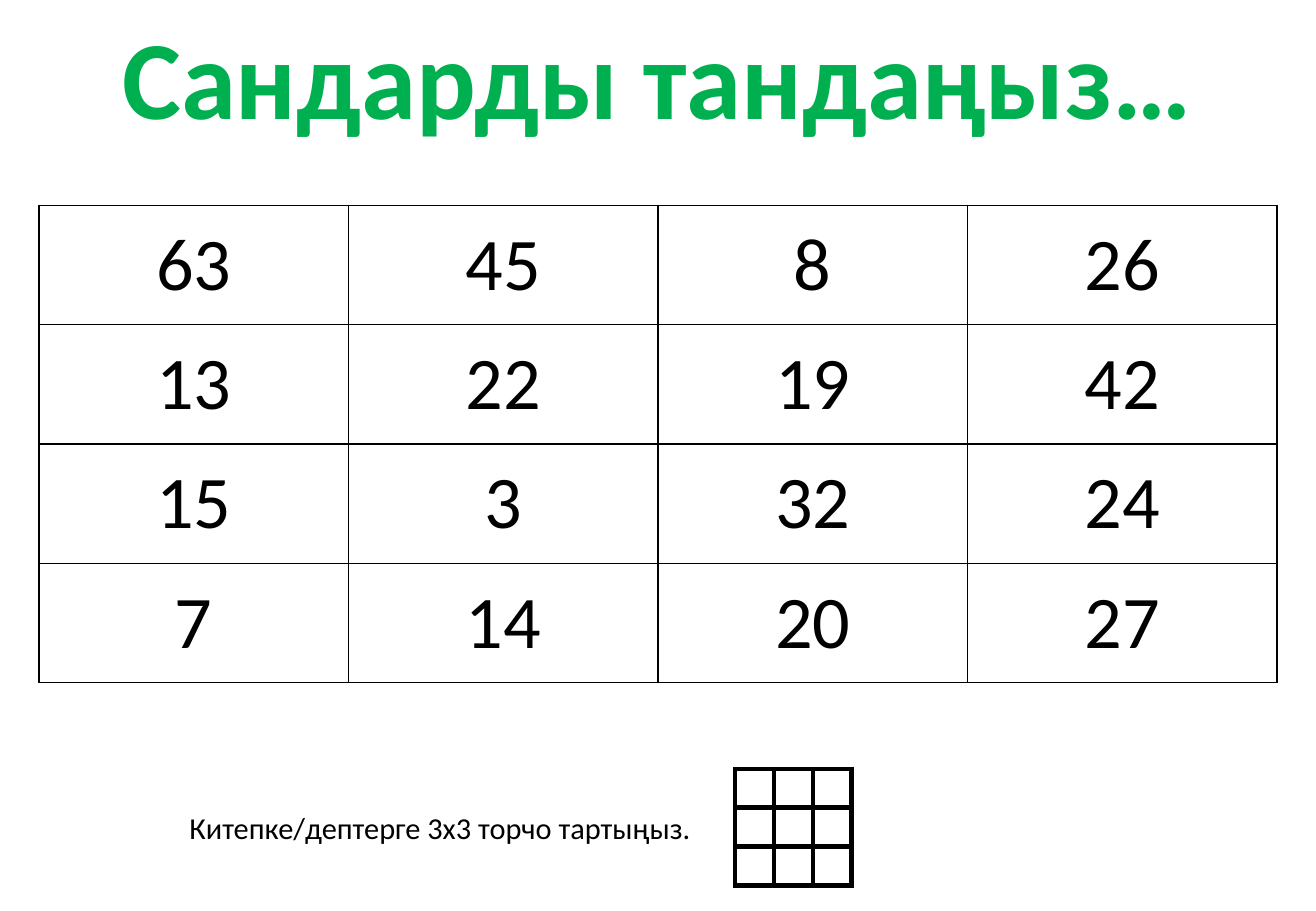
import pptx
import pptx.dml.color
import pptx.enum.text
import pptx.oxml
import pptx.oxml.ns
import pptx.util

Inches = pptx.util.Inches
ALIGN = pptx.enum.text.PP_ALIGN
ANCHOR = pptx.enum.text.MSO_ANCHOR

NUMBERS = [
    [63, 45, 8, 26],
    [13, 22, 19, 42],
    [15, 3, 32, 24],
    [7, 14, 20, 27],
]


def rgb(color):
    return pptx.dml.color.RGBColor.from_string(color)


def write(tf, text, size=18, color="000000", bold=False, align=ALIGN.LEFT):
    p = tf.paragraphs[0]
    p.alignment = align
    r = p.add_run()
    r.text = text
    r.font.name = "Calibri"
    r.font.size = pptx.util.Pt(size)
    r.font.bold = bold
    r.font.color.rgb = rgb(color)


def set_borders(cell, width, color="000000"):
    tcPr = cell._tc.get_or_add_tcPr()
    for side in ("lnL", "lnR", "lnT", "lnB"):
        tcPr.append(pptx.oxml.parse_xml(
            f'<a:{side} {pptx.oxml.ns.nsdecls("a")} w="{pptx.util.Pt(width)}">'
            f'<a:solidFill><a:srgbClr val="{color}"/></a:solidFill></a:{side}>'))


def add_grid(s, box, values, border, size, margin):
    left, top, width, height = box
    rows, cols = len(values), len(values[0])
    table = s.shapes.add_table(rows, cols, Inches(left), Inches(top),
                               Inches(width), Inches(height)).table
    table.first_row = table.horz_banding = False
    for col in table.columns:
        col.width = Inches(width / cols)
    for row, row_values in zip(table.rows, values):
        row.height = Inches(height / rows)
        for cell, value in zip(row.cells, row_values):
            set_borders(cell, border)
            cell.fill.solid()
            cell.fill.fore_color.rgb = rgb("FFFFFF")
            cell.vertical_anchor = ANCHOR.MIDDLE
            cell.margin_left = cell.margin_right = Inches(margin)
            cell.margin_top = cell.margin_bottom = Inches(margin / 2)
            if value is not None:
                write(cell.text_frame, str(value), size, align=ALIGN.CENTER)


def add_title(s, box):
    sp = s.shapes.title
    sp.left, sp.top, sp.width, sp.height = map(Inches, box)
    tf = sp.text_frame
    tf.word_wrap = False
    tf.auto_size = pptx.enum.text.MSO_AUTO_SIZE.NONE
    tf.vertical_anchor = ANCHOR.TOP
    write(tf, "Сандарды тандаңыз…", 66, "00B050", True, ALIGN.CENTER)


def add_instruction(s, box):
    left, top, width, height = box
    # Instruction text
    sp = s.shapes.add_textbox(Inches(left), Inches(top + 0.28),
                              Inches(width - 1.17), Inches(0.4))
    sp.text_frame.word_wrap = False
    write(sp.text_frame, "Китепке/дептерге 3х3 торчо тартыңыз.")
    # Empty 3 by 3 grid at the right end
    add_grid(s, (left + width - height, top, height, height),
             [[None] * 3] * 3, border=3, size=18, margin=0)


def main():
    prs = pptx.Presentation()
    prs.slide_width, prs.slide_height = Inches(10.83), Inches(7.5)
    s = prs.slides.add_slide(prs.slide_layouts[5])
    add_title(s, (0.79, 0.02, 9.24, 1.21))
    # Numbers to choose from
    add_grid(s, (0.32, 1.69, 10.19, 3.93), NUMBERS, border=1, size=44, margin=0.1)
    add_instruction(s, (1.46, 6.33, 5.55, 0.96))
    prs.save("out.pptx")


if __name__ == "__main__":
    main()
